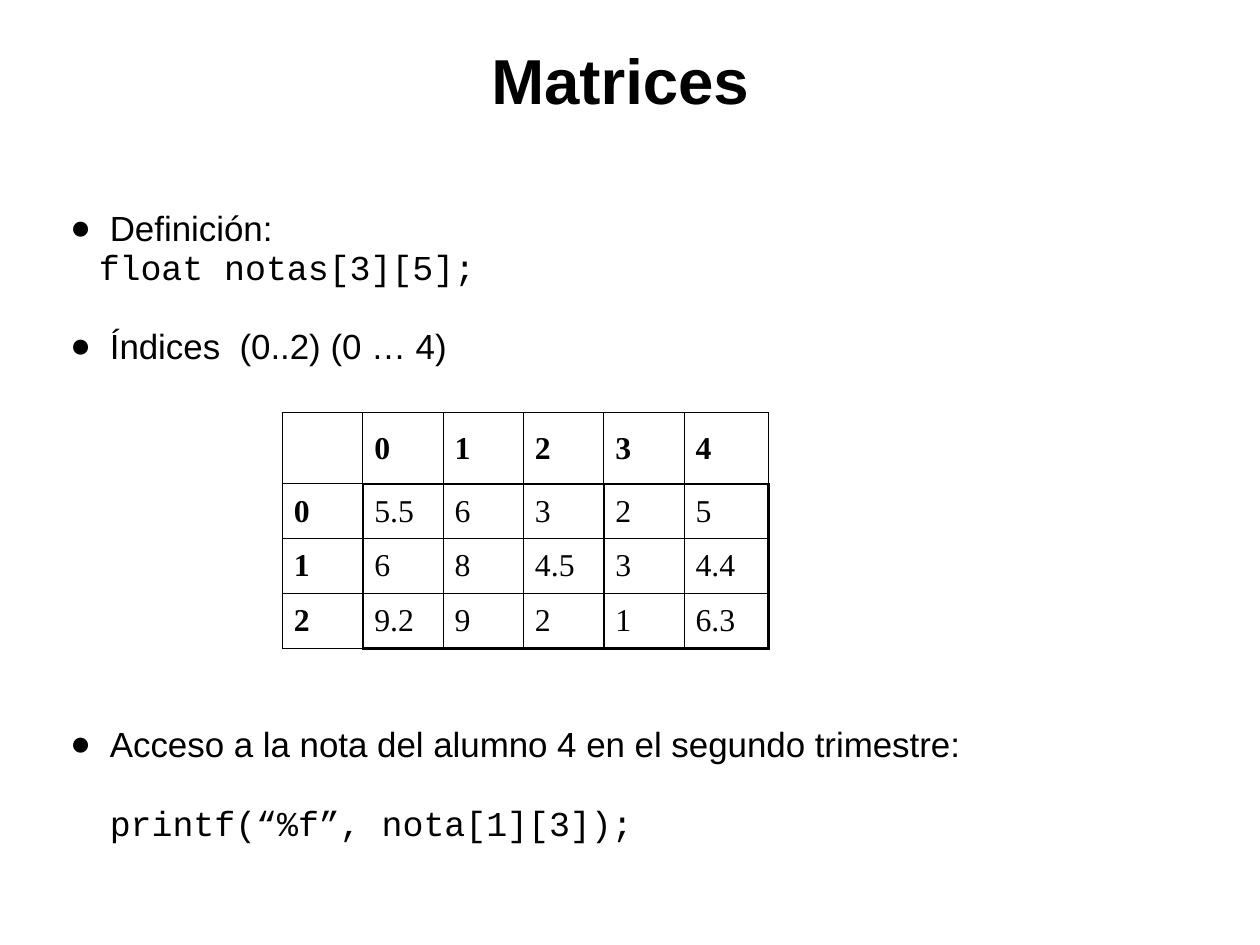
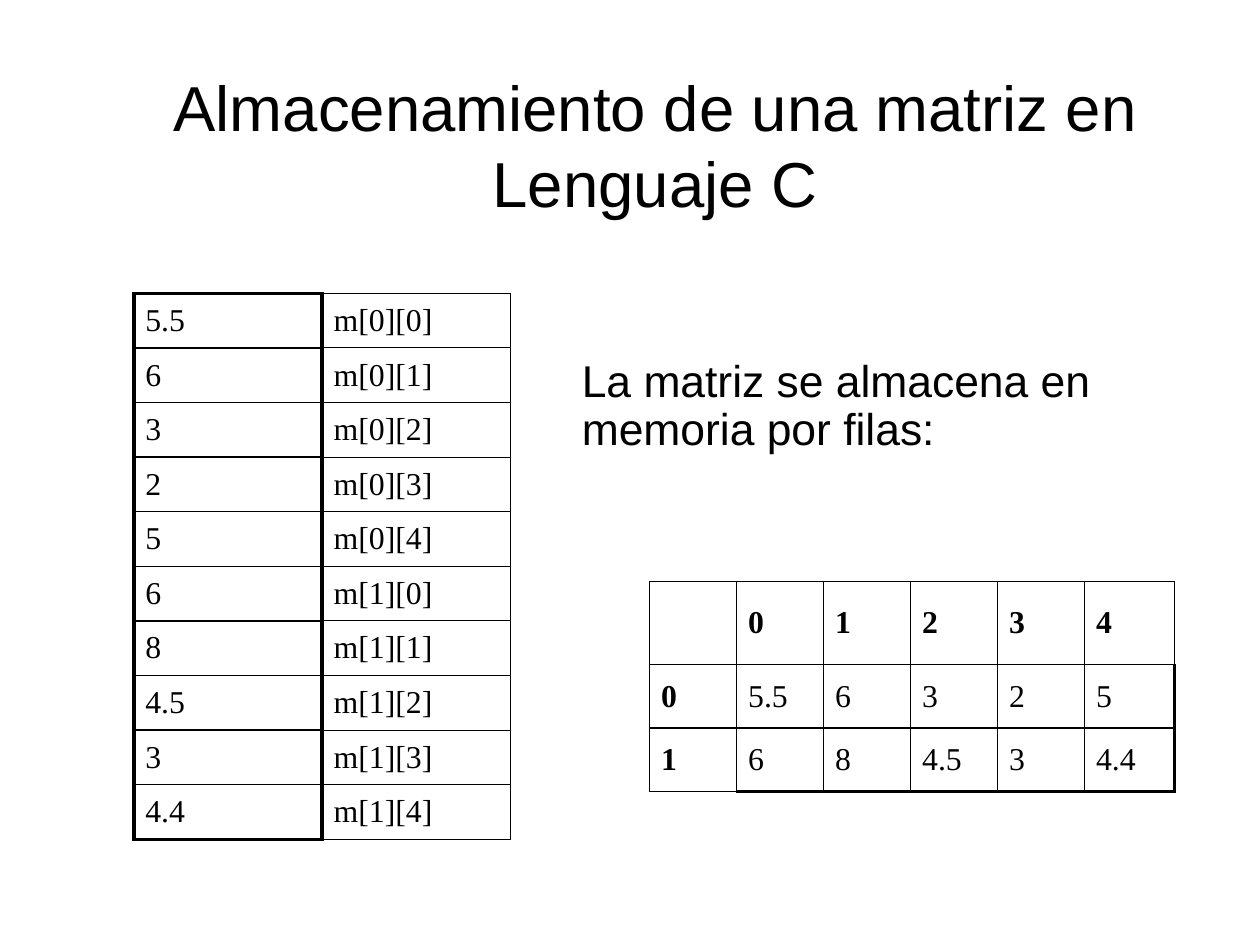
from lxml import etree
from pptx import Presentation
from pptx.dml.color import RGBColor
from pptx.enum import text as t
from pptx.oxml.ns import qn
from pptx.util import Pt

BLACK = RGBColor(0, 0, 0)
SANS, SERIF, MONO = "Arial", "Times New Roman", "Courier New"
THIN, INNER, EDGE, THICK = 0.75, 0.96, 2.21, 3
MARKS = [
    ["5.5", "6", "3", "2", "5"],
    ["6", "8", "4.5", "3", "4.4"],
    ["9.2", "9", "2", "1", "6.3"],
]


def style(para, face, size, bold=False):
    font = para.font
    font.name, font.size, font.bold = face, Pt(size), bold
    font.color.rgb = BLACK


def place(shape, left, top, width, height):
    shape.left, shape.top = Pt(left), Pt(top)
    shape.width, shape.height = Pt(width), Pt(height)


def add_slide(deck, title, box, bold=False):
    slide = deck.slides.add_slide(deck.slide_layouts[1])
    head = slide.shapes.title
    place(head, *box)
    frame = head.text_frame
    frame.text = title
    frame.auto_size = t.MSO_AUTO_SIZE.NONE
    frame.vertical_anchor = t.MSO_ANCHOR.MIDDLE
    para = frame.paragraphs[0]
    para.alignment = t.PP_ALIGN.CENTER
    para.line_spacing = Pt(48)
    style(para, SANS, 40, bold)
    return slide


def set_bullet(para, left, hang, mark):
    """Set the indent and bullet; without a mark the bullet is off."""
    props = para._p.get_or_add_pPr()
    props.set("marL", str(Pt(left)))
    props.set("indent", str(-Pt(hang)))
    if mark:
        etree.SubElement(props, qn("a:buChar")).set("char", mark)
    else:
        etree.SubElement(props, qn("a:buNone"))


def fill_body(slide, box, lines, size, pitch):
    """Fill the body with (text, face, space before, left, hang, mark) lines."""
    body = slide.placeholders[1]
    place(body, *box)
    frame = body.text_frame
    frame.auto_size = t.MSO_AUTO_SIZE.NONE
    frame.vertical_anchor = t.MSO_ANCHOR.TOP
    for i, (words, face, gap, left, hang, mark) in enumerate(lines):
        para = frame.add_paragraph() if i else frame.paragraphs[0]
        para.text = words
        para.alignment = t.PP_ALIGN.LEFT
        para.line_spacing = Pt(pitch)
        para.space_before = Pt(gap)
        set_bullet(para, left, hang, mark)
        style(para, face, size)


def set_edges(cell, widths):
    """Draw the left, right, top and bottom borders, in that order."""
    props = cell._tc.get_or_add_tcPr()
    for side, width in zip("LRTB", widths):
        line = etree.SubElement(props, qn(f"a:ln{side}"), w=str(Pt(width)))
        fill = etree.SubElement(line, qn("a:solidFill"))
        etree.SubElement(fill, qn("a:srgbClr"), val=str(BLACK))


def add_grid(slide, left, top, cols, rows, data, edges, heads=False):
    frame = slide.shapes.add_table(len(rows), len(cols), Pt(left), Pt(top),
                                   Pt(sum(cols)), Pt(sum(rows)))
    table = frame.table
    table.first_row = table.horz_banding = False
    for col, width in zip(table.columns, cols):
        col.width = Pt(width)
    for row, height in zip(table.rows, rows):
        row.height = Pt(height)
    for r, line in enumerate(data):
        for c, words in enumerate(line):
            cell = table.cell(r, c)
            cell.text = words
            cell.vertical_anchor = t.MSO_ANCHOR.MIDDLE
            style(cell.text_frame.paragraphs[0], SERIF, 20,
                  heads and (r == 0 or c == 0))
            set_edges(cell, edges(r, c))
            cell.fill.background()


def add_matrix(slide, left, top, marks, col, last, head, row):
    """Add marks with index headings; the data area has a heavier outline."""
    count, size = len(marks), len(marks[0])
    data = [[""] + [str(c) for c in range(size)]]
    data += [[str(r)] + line for r, line in enumerate(marks)]

    def edges(r, c):
        wide = INNER if r and c else THIN
        return (wide,
                EDGE if r and c == size else INNER if r else THIN,
                wide,
                EDGE if c and r == count else INNER if c else THIN)

    add_grid(slide, left, top, [col] * size + [last], [head] + [row] * count,
             data, edges, heads=True)


def add_memory(slide, left, top, marks, col, row):
    """List the marks in storage order, each beside its element name."""
    data = [[mark, f"m[{r}][{c}]"]
            for r, line in enumerate(marks) for c, mark in enumerate(line)]
    end = len(data) - 1

    def edges(r, c):
        if c:
            return THICK, THIN, THIN, THIN
        return (THICK, THICK, INNER if r else EDGE,
                EDGE if r == end else INNER)

    add_grid(slide, left, top, [col] * 2, [row] * len(data), data, edges)


def main():
    deck = Presentation()
    deck.slide_width, deck.slide_height = Pt(793.7), Pt(595.28)

    slide = add_slide(deck, "Matrices", (53.3, 19.4, 674.6, 61.2), bold=True)
    fill_body(slide, (28, 133, 737.3, 440), [
        ("Definición:", SANS, 0, 34, 25, "●"),
        ("float notas[3][5];", MONO, 4.5, 27, 0, None),
        ("Índices  (0..2) (0 … 4)", SANS, 29.8, 34, 25, "●"),
        ("Acceso a la nota del alumno 4 en el segundo trimestre:",
         SANS, 230.8, 34, 25, "●"),
        ("printf(“%f”, nota[1][3]);", MONO, 29.8, 34, 0, None),
    ], 22, 20)
    add_matrix(slide, 178, 260, MARKS, 50.6, 53, 44.8, 34.5)

    slide = add_slide(deck, "Almacenamiento de una matriz en Lenguaje C",
                      (65.5, 33.8, 694, 113.8))
    fill_body(slide, (359.3, 222.5, 406, 75), [
        ("La matriz se almacena en memoria por filas:", SANS, 0, 0, 0, None),
    ], 28, 30)
    add_matrix(slide, 409.3, 366.3, MARKS[:2], 54.8, 56.8, 52.3, 40)
    add_memory(slide, 84.3, 184.8, MARKS[:2], 118.7, 34.4)

    deck.save("out.pptx")


if __name__ == "__main__":
    main()
